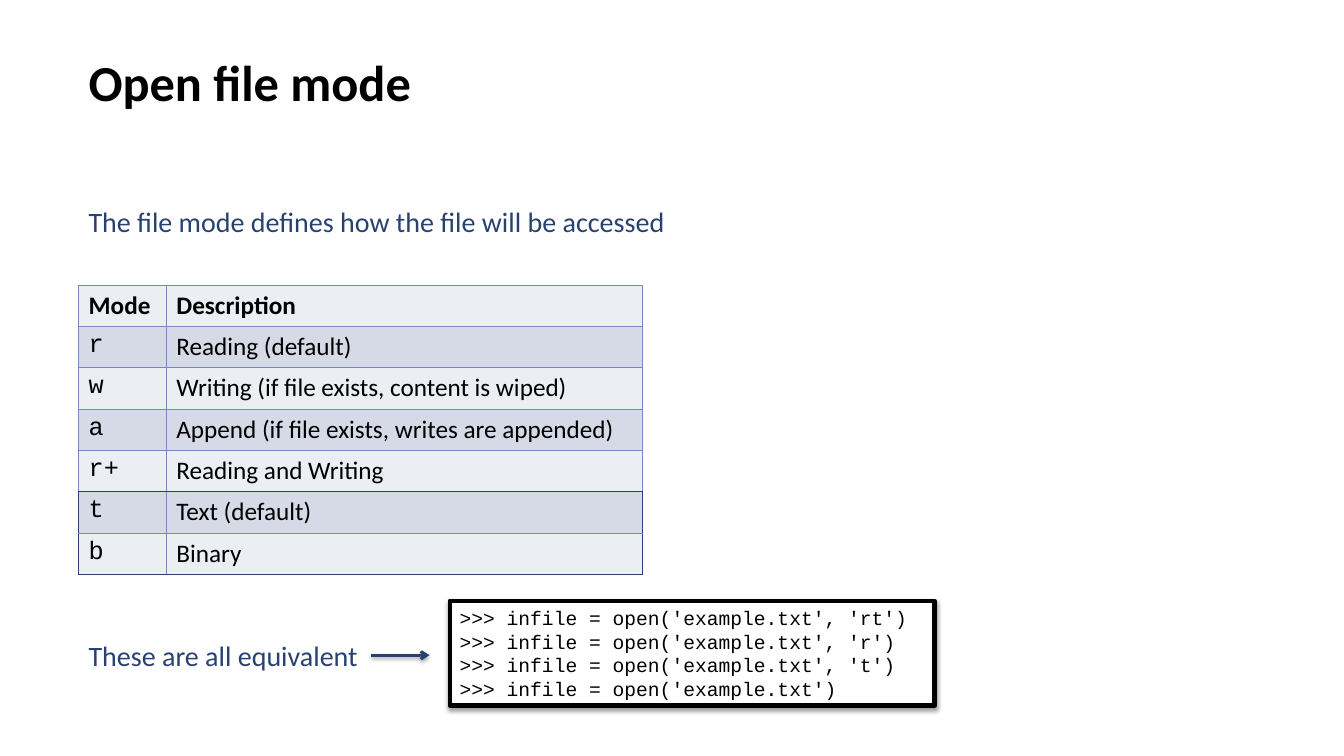
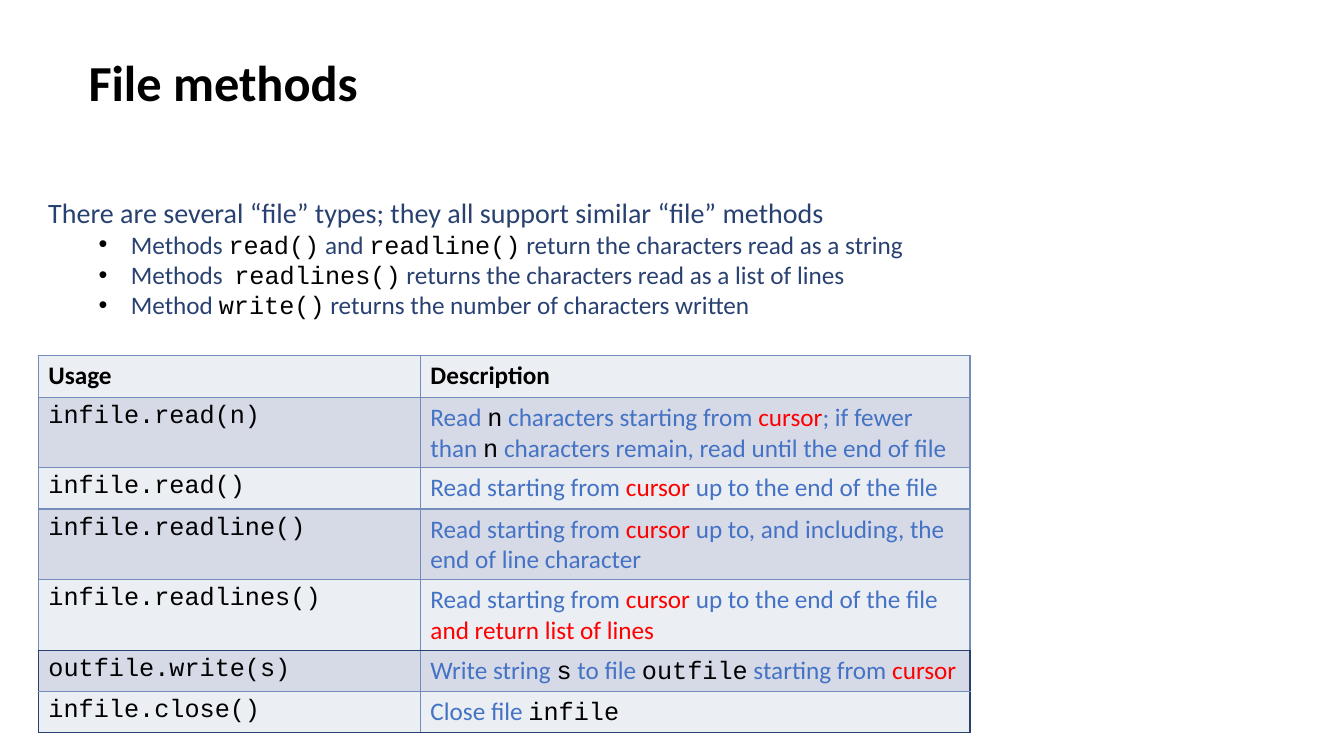
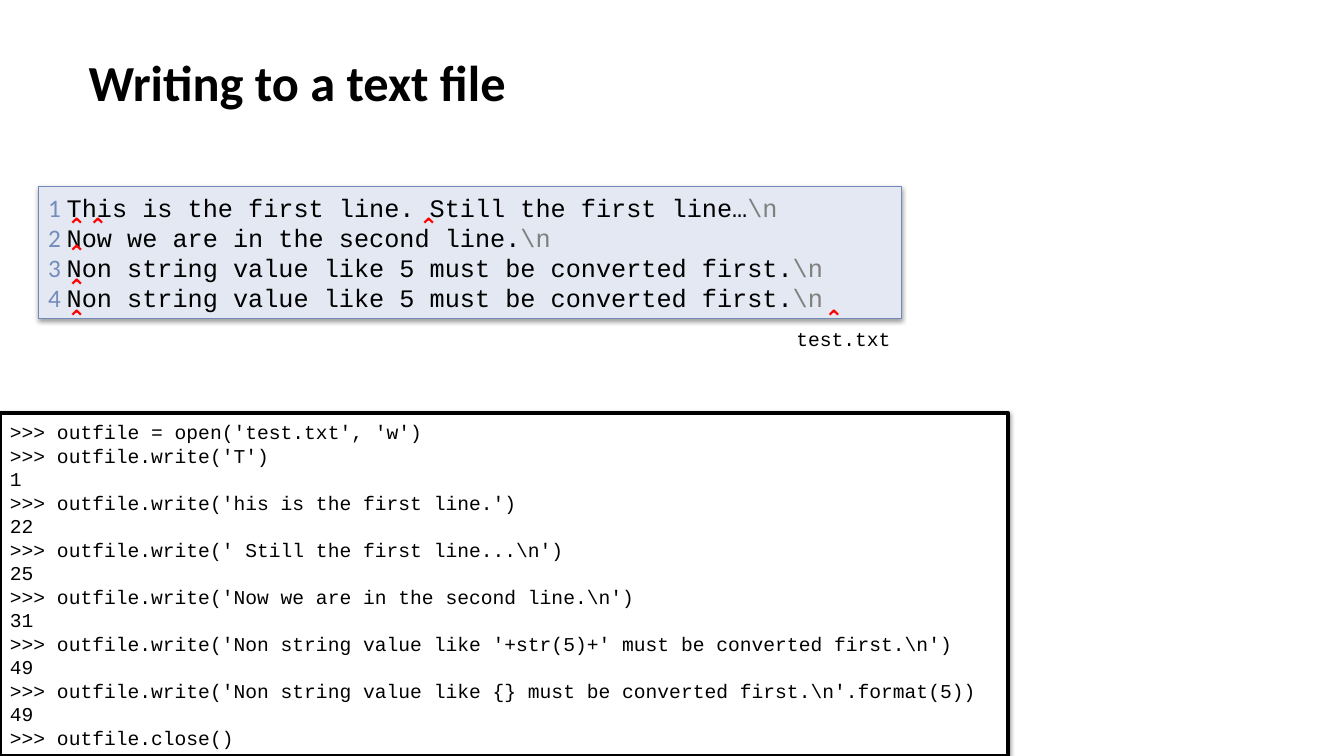
from lxml.etree import SubElement
from pptx import Presentation
from pptx.dml.color import RGBColor
from pptx.enum.shapes import MSO_CONNECTOR, MSO_SHAPE
from pptx.enum.text import MSO_ANCHOR, PP_ALIGN
from pptx.oxml.ns import qn
from pptx.util import Inches, Pt

COLORS = {
    "black": "000000", "white": "FFFFFF", "navy": "294171", "blue": "4472C4",
    "steel": "748CBC", "edge": "7088BA", "red": "FF0000", "gray": "808080",
    "pale": "EBEEF3", "band": "D6DAE7", "page": "E3E8F2",
}
SANS, MONO, MARK = "Calibri", "Courier New", "Open Sans"

# Each style set is: plain text, text between backticks, text between tildes.
HEAD = [(SANS, "black")]
CODE = [(MONO, "black")]
CARET = [(MARK, "red")]
BODY = [(SANS, "navy"), (MONO, "black")]
PLAIN = [(SANS, "black"), (MONO, "black")]
RICH = [(SANS, "blue"), (MONO, "black"), (SANS, "red")]
PAGE = [(SANS, "steel"), (MONO, "black"), (MONO, "gray")]

MODES = [
    ("Mode", "Description"),
    ("r", "Reading (default)"),
    ("w", "Writing (if file exists, content is wiped)"),
    ("a", "Append (if file exists, writes are appended)"),
    ("r+", "Reading and Writing"),
    ("t", "Text (default)"),
    ("b", "Binary"),
]
METHODS = [
    ("Usage", "Description"),
    ("infile.read(n)", "Read `n` characters starting from ~cursor~; if fewer than `n` "
                       "characters remain, read until the end of file"),
    ("infile.read()", "Read starting from ~cursor ~up to the end of the file"),
    ("infile.readline()", "Read starting from ~cursor ~up to, and including, "
                          "the end of line character"),
    ("infile.readlines()", "Read starting from ~cursor ~up to the end of the file "
                           "~and return list of lines~"),
    ("outfile.write(s)", "Write string `s` to file `outfile` starting from ~cursor~"),
    ("infile.close()", "Close file `infile`"),
]
NOTES = [
    "There are several “file” types; they all support similar “file” methods",
    "Methods `read()` and `readline()` return the characters read as a string",
    "Methods  `readlines()` returns the characters read as a list of lines",
    "Method `write()` returns the number of characters written",
]
OPENS = [
    ">>> infile = open('example.txt', 'rt')",
    ">>> infile = open('example.txt', 'r')",
    ">>> infile = open('example.txt', 't')",
    ">>> infile = open('example.txt')",
]
LINES = [
    "This is the first line. Still the first line…",
    "Now we are in the second line.",
    "Non string value like 5 must be converted first.",
    "Non string value like 5 must be converted first.",
]
WRITES = [
    ">>> outfile = open('test.txt', 'w')",
    ">>> outfile.write('T')",
    "1",
    ">>> outfile.write('his is the first line.')",
    "22",
    r">>> outfile.write(' Still the first line...\n')",
    "25",
    r">>> outfile.write('Now we are in the second line.\n')",
    "31",
    r">>> outfile.write('Non string value like '+str(5)+' must be converted first.\n')",
    "49",
    r">>> outfile.write('Non string value like {} must be converted first.\n'.format(5))",
    "49",
    ">>> outfile.close()",
]
CARETS = [(0.57, 2.05), (0.78, 2.05), (4.06, 2.05), (0.57, 2.32),
          (0.57, 2.66), (0.57, 2.97), (8.08, 2.97)]


def color(name):
    return RGBColor.from_string(COLORS[name])


def add_run(para, text, style, size, bold):
    run = para.add_run()
    run.text = text
    run.font.name, tint = style
    run.font.size = Pt(size)
    run.font.bold = bold
    run.font.color.rgb = color(tint)


def write(frame, lines, size, styles, bold=False):
    frame.word_wrap = True
    for num, line in enumerate(lines):
        para = frame.add_paragraph() if num else frame.paragraphs[0]
        para.alignment = PP_ALIGN.LEFT
        for i, part in enumerate(line.split("`")):
            for j, bit in enumerate(part.split("~")):
                if bit:
                    add_run(para, bit, styles[1 if i % 2 else 2 * (j % 2)], size, bold)


def add_text(slide, at, lines, size, styles, bold=False):
    frame = slide.shapes.add_textbox(*map(Inches, at)).text_frame
    frame.vertical_anchor = MSO_ANCHOR.MIDDLE
    write(frame, lines, size, styles, bold)
    return frame


def add_shadow(shape):
    props = shape._element.spPr
    effects = props.find(qn("a:effectLst"))
    if effects is None:
        effects = SubElement(props, qn("a:effectLst"))
    outer = SubElement(effects, qn("a:outerShdw"), blurRad="40000", dist="20000",
                       dir="5400000", rotWithShape="0")
    tint = SubElement(outer, qn("a:srgbClr"), val=COLORS["black"])
    SubElement(tint, qn("a:alpha"), val="38000")


def add_panel(slide, at, lines, size, styles, fill="white", edge="black", width=3):
    panel = slide.shapes.add_shape(MSO_SHAPE.RECTANGLE, *map(Inches, at))
    panel.fill.solid()
    panel.fill.fore_color.rgb = color(fill)
    panel.line.color.rgb = color(edge)
    panel.line.width = Pt(width)
    panel.shadow.inherit = False
    add_shadow(panel)
    panel.text_frame.vertical_anchor = MSO_ANCHOR.MIDDLE
    write(panel.text_frame, lines, size, styles)


def add_arrow(slide, left, right, y):
    arrow = slide.shapes.add_connector(
        MSO_CONNECTOR.STRAIGHT, *map(Inches, (left, y, right, y)))
    arrow.line.color.rgb = color("navy")
    arrow.line.width = Pt(2)
    SubElement(arrow.line._get_or_add_ln(), qn("a:tailEnd"), type="arrow")
    add_shadow(arrow)


def add_bullets(paras):
    for para in paras:
        para.level = 1
        for run in para.runs:
            run.font.size = Pt(18)
        props = para._p.get_or_add_pPr()
        props.set("marL", str(Inches(0.82)))
        props.set("indent", str(Inches(-0.32)))
        tint = SubElement(props, qn("a:buClr"))
        SubElement(tint, qn("a:srgbClr"), val=COLORS["black"])
        SubElement(props, qn("a:buFont"), typeface="Arial")
        SubElement(props, qn("a:buChar"), char="•")


def set_borders(cell, dark):
    props = cell._tc.get_or_add_tcPr()
    for spot, side in enumerate("LRTB"):
        line = SubElement(props, qn("a:ln" + side), w=str(Pt(1)))
        fill = SubElement(line, qn("a:solidFill"))
        SubElement(fill, qn("a:srgbClr"), val=COLORS["navy" if side in dark else "steel"])
        props.insert(spot, line)


def dark_sides(row, col, last):
    if row == last - 2:
        return "B"
    if row < last - 2:
        return ""
    return "LR"[col] + ("T" if row == last - 1 else "B")


def add_grid(slide, left, top, widths, rows, styles):
    height = 0.41
    table = slide.shapes.add_table(
        len(rows), len(widths),
        *map(Inches, (left, top, sum(widths), height * len(rows)))).table
    for col, width in enumerate(widths):
        table.columns[col].width = Inches(width)
    for r, row in enumerate(rows):
        table.rows[r].height = Inches(height)
        for c, text in enumerate(row):
            cell = table.cell(r, c)
            cell.fill.solid()
            cell.fill.fore_color.rgb = color("band" if r % 2 else "pale")
            look = HEAD if r == 0 else styles if c else CODE
            write(cell.text_frame, [text], 18, look, r == 0)
            set_borders(cell, dark_sides(r, c, len(rows) - 1))


def add_slide(deck, title):
    slide = deck.slides.add_slide(deck.slide_layouts[6])
    add_text(slide, (0.78, 0, 8.5, 1.61), [title], 36, HEAD, True)
    return slide


def show_modes(deck):
    slide = add_slide(deck, "Open file mode")
    add_grid(slide, 0.78, 2.83, (0.87, 4.72), MODES, PLAIN)
    add_text(slide, (0.78, 1.98, 7.95, 0.44),
             ["The file mode defines how the file will be accessed"], 20, BODY)
    add_panel(slide, (4.46, 5.96, 4.81, 1.04), OPENS, 14, CODE)
    add_text(slide, (0.78, 6.28, 2.9, 0.44), ["These are all equivalent"], 20, BODY)
    add_arrow(slide, 3.68, 4.26, 6.5)


def show_methods(deck):
    slide = add_slide(deck, "File methods")
    add_grid(slide, 0.38, 3.53, (3.79, 5.45), METHODS, RICH)
    frame = add_text(slide, (0.38, 1.88, 9.24, 1.35), NOTES, 20, BODY)
    add_bullets(frame.paragraphs[1:])


def show_writing(deck):
    slide = add_slide(deck, "Writing to a text file")
    page = [rf"{num} `{line}`~\n~" for num, line in enumerate(LINES, 1)]
    add_panel(slide, (0.38, 1.85, 8.56, 1.31), page, 18, PAGE, "page", "edge", 0.75)
    for left, top in CARETS:
        add_text(slide, (left, top, 0.41, 0.37), ["⌃"], 16, CARET, True)
    add_text(slide, (7.8, 3.19, 1.14, 0.34), ["test.txt"], 14, CODE)
    add_panel(slide, (0, 4.1, 10, 3.4), WRITES, 14, CODE)


def main():
    deck = Presentation()
    deck.slide_width, deck.slide_height = Inches(13.33), Inches(7.5)
    show_modes(deck)
    show_methods(deck)
    show_writing(deck)
    deck.save("out.pptx")


if __name__ == "__main__":
    main()
